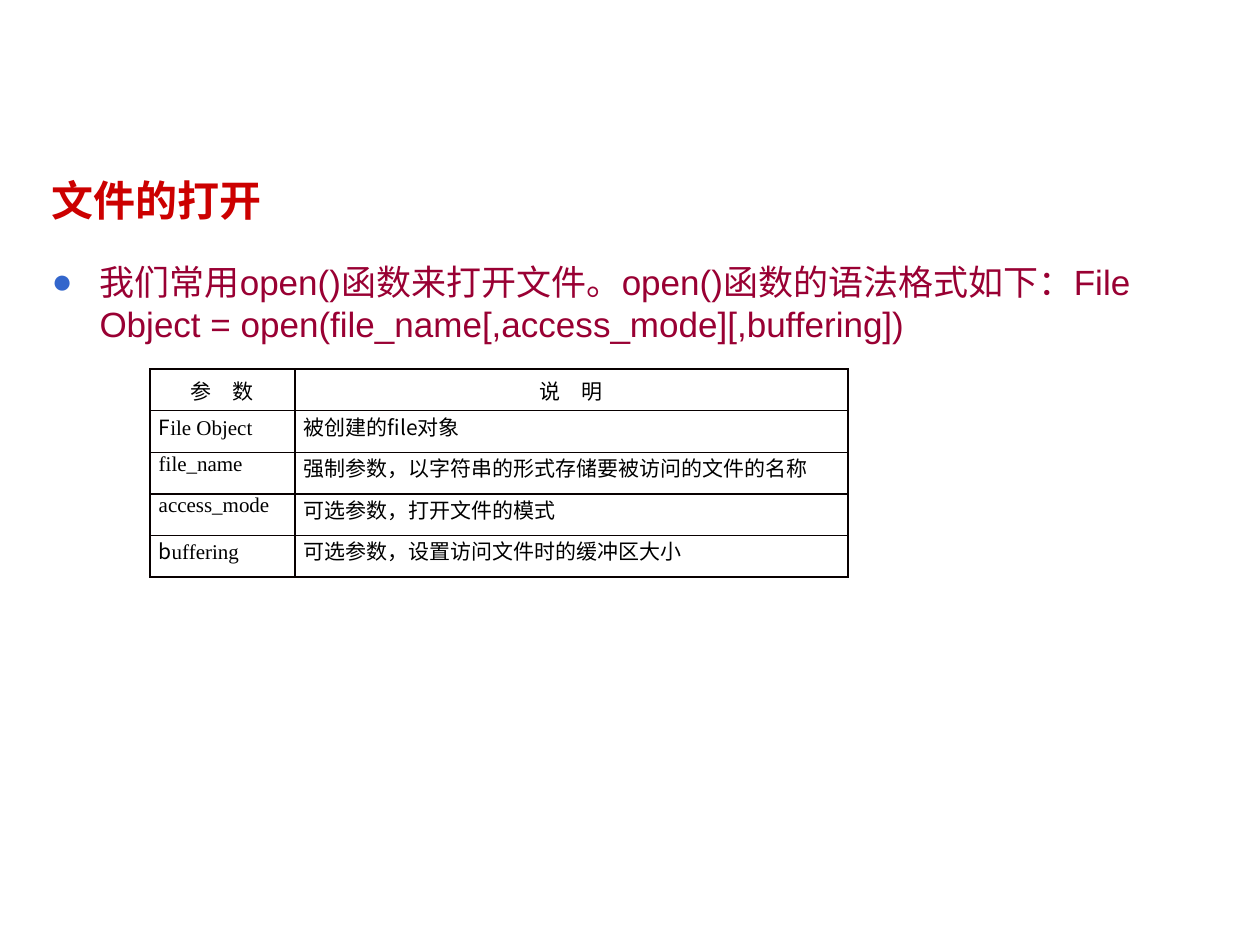
"""Build the slide that explains how open() opens a file."""
from dataclasses import dataclass

import lxml.etree
import pptx
import pptx.dml.color
import pptx.enum.text
import pptx.oxml.ns
import pptx.util

COLORS = {
    "title": "CC0000",
    "body": "990033",
    "bullet": "3366CC",
    "table_text": "000000",
    "border": "080000",
    "background": "FFFFFF",
}
CJK_FONT = "Noto Sans CJK SC"
LATIN_FONT = "Times New Roman"
COLUMN_WIDTHS = (1.15, 4.39)
ROW_HEIGHT = 0.33


@dataclass(frozen=True)
class Parameter:
    cjk_part: str
    latin_part: str
    description: str


PARAMETERS = (
    Parameter("F", "ile Object", "被创建的file对象"),
    Parameter("", "file_name", "强制参数，以字符串的形式存储要被访问的文件的名称"),
    Parameter("", "access_mode", "可选参数，打开文件的模式"),
    Parameter("b", "uffering", "可选参数，设置访问文件时的缓冲区大小"),
)


def rgb(role: str) -> pptx.dml.color.RGBColor:
    return pptx.dml.color.RGBColor.from_string(COLORS[role])


def add_element(parent, tag: str, **attributes: str):
    return lxml.etree.SubElement(parent, pptx.oxml.ns.qn(tag), attributes)


def style_font(font, name: str, size: float, role: str, bold: bool = False) -> None:
    font.name = name
    font.size = pptx.util.Pt(size)
    font.color.rgb = rgb(role)
    font.bold = bold


def fill_placeholder(placeholder, text: str, top: float, height: float):
    placeholder.left, placeholder.top = pptx.util.Inches(0.31), pptx.util.Inches(top)
    placeholder.width, placeholder.height = pptx.util.Inches(9.49), pptx.util.Inches(height)
    placeholder.fill.solid()
    placeholder.fill.fore_color.rgb = rgb("background")
    placeholder.text_frame.text = text
    placeholder.text_frame.auto_size = pptx.enum.text.MSO_AUTO_SIZE.NONE
    paragraph = placeholder.text_frame.paragraphs[0]
    paragraph.alignment = pptx.enum.text.PP_ALIGN.LEFT
    return paragraph


def add_bullet(paragraph) -> None:
    properties = paragraph._p.get_or_add_pPr()
    indent = pptx.util.Inches(0.38)
    properties.set("marL", str(indent))
    properties.set("indent", str(-indent))
    bullet_color = add_element(properties, "a:buClr")
    add_element(bullet_color, "a:srgbClr", val=COLORS["bullet"])
    add_element(properties, "a:buChar", char="●")


def format_cell(cell) -> None:
    cell.margin_left = cell.margin_right = pptx.util.Inches(0.07)
    cell.margin_top = cell.margin_bottom = 0
    properties = cell._tc.get_or_add_tcPr()
    for edge in ("a:lnL", "a:lnR", "a:lnT", "a:lnB"):
        border = add_element(properties, edge, w=str(pptx.util.Pt(1)))
        border_fill = add_element(border, "a:solidFill")
        add_element(border_fill, "a:srgbClr", val=COLORS["border"])
    cell.fill.background()


def write_cell(cell, text: str):
    format_cell(cell)
    cell.text = text
    paragraph = cell.text_frame.paragraphs[0]
    style_font(paragraph.font, CJK_FONT, 12, "table_text")
    return paragraph


def write_parameter_name(cell, parameter: Parameter) -> None:
    paragraph = write_cell(cell, parameter.cjk_part)
    if not parameter.cjk_part:
        paragraph.font.name = LATIN_FONT
    latin_run = paragraph.add_run()
    latin_run.text = parameter.latin_part
    latin_run.font.name = LATIN_FONT


def add_parameter_table(slide) -> None:
    row_count = len(PARAMETERS) + 1
    table = slide.shapes.add_table(
        row_count, len(COLUMN_WIDTHS),
        pptx.util.Inches(1.19), pptx.util.Inches(2.93),
        pptx.util.Inches(sum(COLUMN_WIDTHS)), pptx.util.Inches(ROW_HEIGHT * row_count),
    ).table
    table.first_row = table.horz_banding = False
    for column, width in zip(table.columns, COLUMN_WIDTHS):
        column.width = pptx.util.Inches(width)
    for row in table.rows:
        row.height = pptx.util.Inches(ROW_HEIGHT)
    for column_index, heading in enumerate(("参　数", "说　明")):
        cell = table.cell(0, column_index)
        write_cell(cell, heading).alignment = pptx.enum.text.PP_ALIGN.CENTER
        cell.vertical_anchor = pptx.enum.text.MSO_ANCHOR.MIDDLE
    for row_index, parameter in enumerate(PARAMETERS, start=1):
        write_parameter_name(table.cell(row_index, 0), parameter)
        write_cell(table.cell(row_index, 1), parameter.description)


def main() -> None:
    presentation = pptx.Presentation()
    presentation.slide_width = pptx.util.Inches(10)
    presentation.slide_height = pptx.util.Inches(7.5)
    slide = presentation.slides.add_slide(presentation.slide_layouts[1])

    heading = fill_placeholder(slide.shapes.title, "文件的打开", 1.15, 0.87)
    style_font(heading.font, "Arial", 24, "title", bold=True)

    syntax = fill_placeholder(
        slide.placeholders[1],
        "我们常用open()函数来打开文件。open()函数的语法格式如下："
        "File Object = open(file_name[,access_mode][,buffering])",
        2.02, 4.8,
    )
    add_bullet(syntax)
    style_font(syntax.font, "Arial", 20, "body")

    add_parameter_table(slide)
    presentation.save("out.pptx")


if __name__ == "__main__":
    main()
